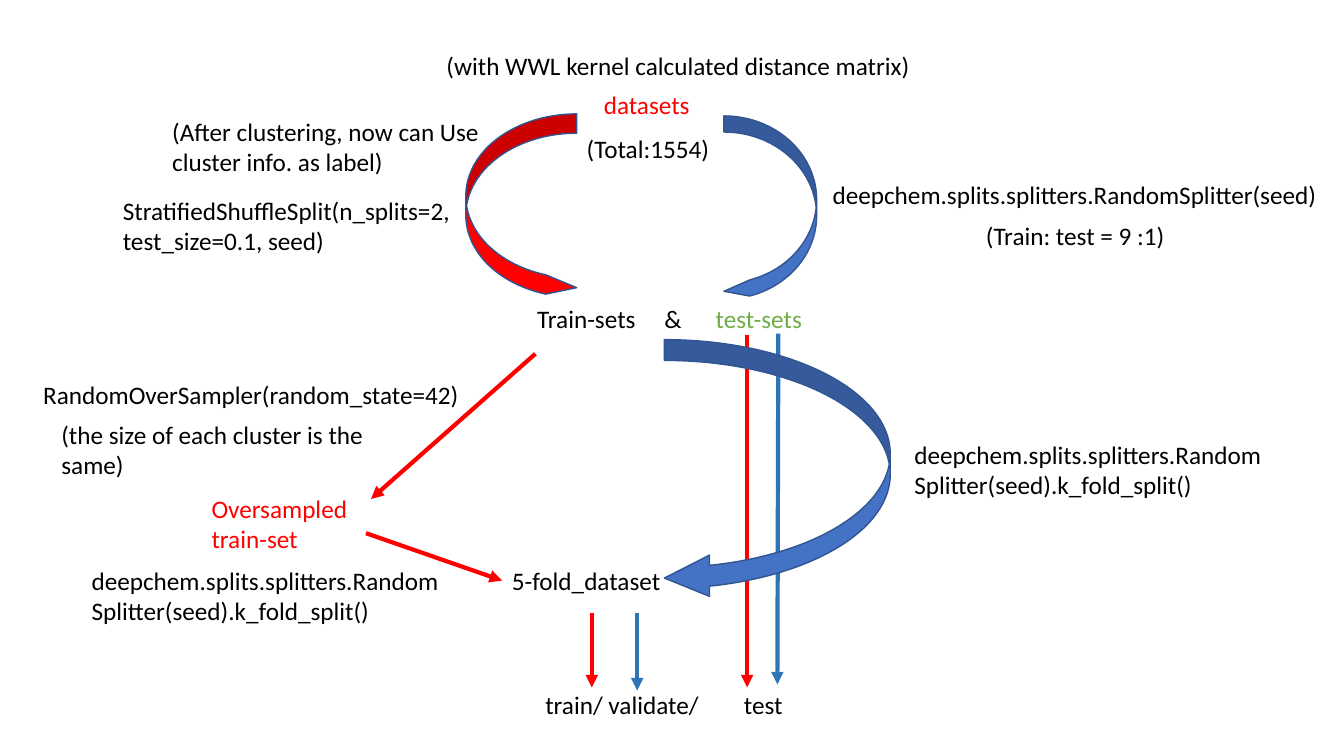
from pptx import Presentation
from pptx.dml.color import RGBColor
from pptx.enum.shapes import MSO_CONNECTOR, MSO_SHAPE
from pptx.oxml.ns import qn
from pptx.util import Inches, Pt
from lxml.etree import SubElement

BLACK = RGBColor(0x00, 0x00, 0x00)
RED = RGBColor(0xFF, 0x00, 0x00)
GREEN = RGBColor(0x70, 0xAD, 0x47)
BLUE = RGBColor(0x44, 0x72, 0xC4)
STEEL = RGBColor(0x2E, 0x75, 0xB6)
OUTLINE = RGBColor(0x32, 0x54, 0x91)

ONE_LINE, TWO_LINES = 0.4, 0.71
K_FOLD = "deepchem.splits.splitters.RandomSplitter(seed).k_fold_split()"

# text, left, top, width, height, colour
LABELS = [
    ("(with WWL kernel calculated distance matrix)", 4.33, 0.45, 4.93, ONE_LINE, BLACK),
    ("datasets", 5.89, 0.84, 1.19, ONE_LINE, RED),
    ("(Total:1554)", 5.72, 1.27, 1.68, ONE_LINE, BLACK),
    ("(After clustering, now can Use cluster info. as label)", 1.61, 1.1, 3.68, TWO_LINES, BLACK),
    ("StratifiedShuffleSplit(n_splits=2, test_size=0.1, seed)", 1.12, 1.89, 3.91, TWO_LINES, BLACK),
    ("deepchem.splits.splitters.RandomSplitter(seed)", 8.16, 1.73, 5, ONE_LINE, BLACK),
    ("(Train: test = 9 :1)", 9.68, 2.14, 2.62, ONE_LINE, BLACK),
    ("Train-sets", 5.23, 2.96, 1.25, ONE_LINE, BLACK),
    ("&", 6.49, 2.96, 0.4, ONE_LINE, BLACK),
    ("test-sets", 7, 2.96, 1.15, ONE_LINE, GREEN),
    ("RandomOverSampler(random_state=42)", 0.33, 3.71, 4.5, ONE_LINE, BLACK),
    ("(the size of each cluster is the same)", 0.51, 4.11, 3.82, TWO_LINES, BLACK),
    ("Oversampled train-set", 2, 4.84, 1.63, TWO_LINES, RED),
    (K_FOLD, 0.81, 5.56, 3.72, TWO_LINES, BLACK),
    (K_FOLD, 8.97, 4.31, 3.72, TWO_LINES, BLACK),
    ("5-fold_dataset", 4.98, 5.56, 1.8, ONE_LINE, BLACK),
    ("train/ validate/", 5.31, 6.79, 1.9, ONE_LINE, BLACK),
    ("test", 7.28, 6.79, 0.7, ONE_LINE, BLACK),
]

# start, end, colour
FLOWS = [
    ((5.31, 3.51), (3.68, 4.95), RED),
    ((3.63, 5.29), (4.98, 5.76), RED),
    ((5.87, 6.08), (5.87, 6.82), RED),
    ((6.32, 6.08), (6.32, 6.85), STEEL),
    ((7.41, 3.32), (7.41, 6.82), RED),
    ((7.72, 3.31), (7.71, 6.79), STEEL),
]

# left, top, width, height, adjustments, fill, mirrored
SPLIT_BEND = (0.25, 0.174, 0.278)
FOLD_BEND = (0.092, 0.183, 0.2)
CURVES = [
    (4.62, 1.13, 1.1, 1.82, SPLIT_BEND, RED, False),
    (7.18, 1.15, 0.92, 1.82, SPLIT_BEND, BLUE, True),
    (6.59, 3.37, 2.24, 2.57, FOLD_BEND, BLUE, True),
]


def add_label(slide, text, left, top, width, height, colour):
    box = slide.shapes.add_textbox(*map(Inches, (left, top, width, height)))
    box.text_frame.word_wrap = True
    run = box.text_frame.paragraphs[0].add_run()
    run.text = text
    run.font.name = "Calibri"
    run.font.size = Pt(18)
    run.font.color.rgb = colour


def add_flow(slide, start, end, colour):
    flow = slide.shapes.add_connector(
        MSO_CONNECTOR.STRAIGHT, *map(Inches, start + end))
    flow.line.color.rgb = colour
    flow.line.width = Pt(3)
    SubElement(flow.line._get_or_add_ln(), qn("a:tailEnd"), type="triangle")
    SubElement(flow._element.spPr, qn("a:effectLst"))


def add_curve(slide, left, top, width, height, bend, fill, mirrored):
    curve = slide.shapes.add_shape(
        MSO_SHAPE.CURVED_RIGHT_ARROW, *map(Inches, (left, top, width, height)))
    for index, value in enumerate(bend):
        curve.adjustments[index] = value
    curve.shadow.inherit = False
    curve.fill.solid()
    curve.fill.fore_color.rgb = fill
    curve.line.color.rgb = OUTLINE
    curve.line.width = Pt(1)
    if mirrored:
        curve._element.spPr.xfrm.set("flipH", "1")


def main():
    deck = Presentation()
    deck.slide_width, deck.slide_height = Inches(13.33), Inches(7.5)
    slide = deck.slides.add_slide(deck.slide_layouts[6])
    for label in LABELS:
        add_label(slide, *label)
    for flow in FLOWS:
        add_flow(slide, *flow)
    for curve in CURVES:
        add_curve(slide, *curve)
    deck.save("out.pptx")


if __name__ == "__main__":
    main()
